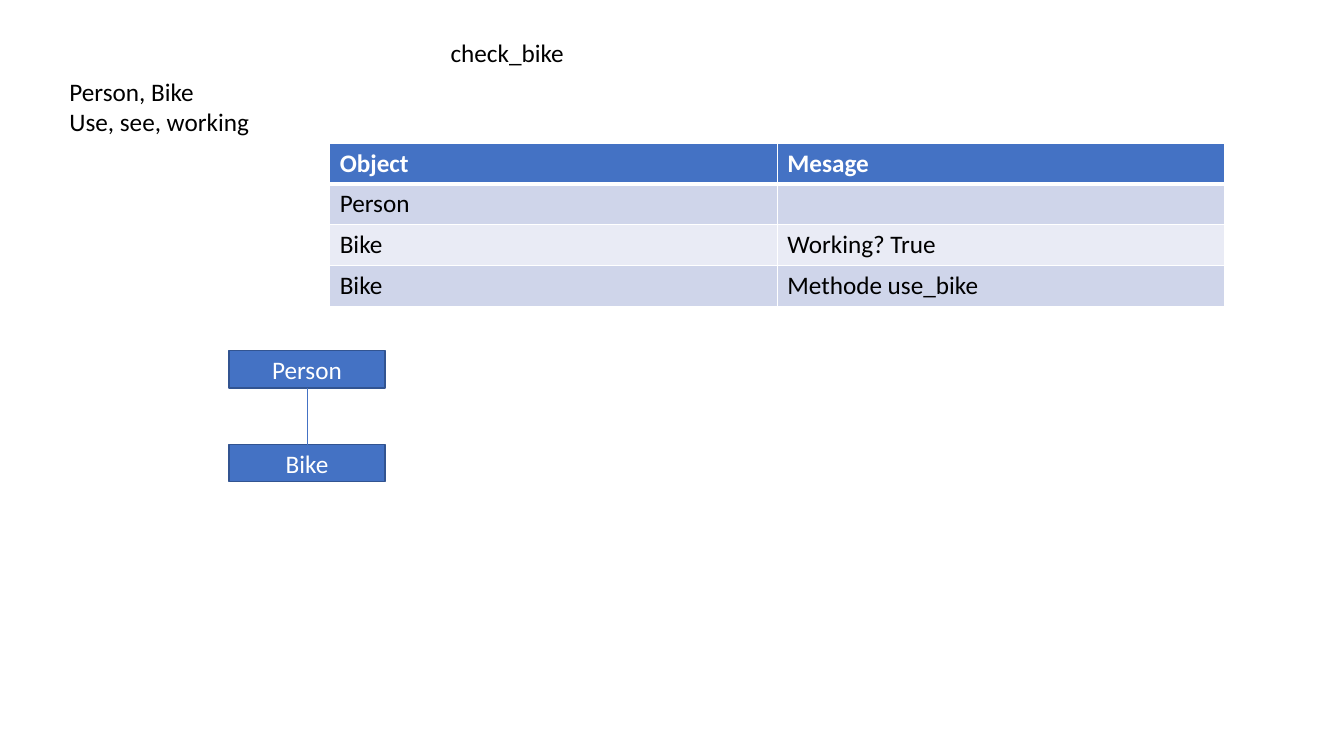
from dataclasses import dataclass

from lxml.etree import SubElement
from pptx import Presentation
from pptx.dml.color import RGBColor
from pptx.enum.shapes import MSO_CONNECTOR as Connector, MSO_SHAPE as Preset
from pptx.enum.text import MSO_ANCHOR as Anchor, MSO_AUTO_SIZE as AutoSize, PP_ALIGN as Align
from pptx.oxml.ns import qn
from pptx.shapes.autoshape import Shape
from pptx.slide import Slide
from pptx.table import _Cell as Cell
from pptx.text.text import TextFrame
from pptx.util import Inches, Pt

BLUE, DARK_BLUE = "4472C4", "325491"
BANDS = ("CFD5EA", "E9EBF5")
WHITE, BLACK = "FFFFFF", "000000"


@dataclass
class Block:
    text: str
    left: float
    top: float
    width: float
    height: float

    def bounds(self) -> list[Inches]:
        return [Inches(n) for n in (self.left, self.top, self.width, self.height)]


NOTES = [
    Block("Person, Bike\nUse, see, working", 0.59, 0.71, 6.67, 0.71),
    Block("check_bike", 4.37, 0.32, 4.52, 0.4),
]
CLASSES = [
    Block("Person", 2.27, 3.48, 1.55, 0.37),
    Block("Bike", 2.27, 4.41, 1.55, 0.37),
]
MESSAGES = [
    ("Object", "Mesage"),
    ("Person", ""),
    ("Bike", "Working? True"),
    ("Bike", "Methode use_bike"),
]


def color(value: str) -> RGBColor:
    return RGBColor.from_string(value)


def write(frame: TextFrame, text: str, ink: str, bold: bool = False) -> None:
    frame.text = text
    for para in frame.paragraphs:
        for span in para.runs:
            span.font.name = "Calibri"
            span.font.size = Pt(18)
            span.font.bold = bold
            span.font.color.rgb = color(ink)


def add_note(page: Slide, note: Block) -> None:
    frame = page.shapes.add_textbox(*note.bounds()).text_frame
    frame.word_wrap = True
    frame.auto_size = AutoSize.SHAPE_TO_FIT_TEXT
    write(frame, note.text, BLACK)


def add_class_box(page: Slide, block: Block) -> Shape:
    box = page.shapes.add_shape(Preset.RECTANGLE, *block.bounds())
    box.shadow.inherit = False
    box.fill.solid()
    box.fill.fore_color.rgb = color(BLUE)
    box.line.color.rgb = color(DARK_BLUE)
    box.line.width = Pt(1)
    write(box.text_frame, block.text, WHITE)
    box.text_frame.vertical_anchor = Anchor.MIDDLE
    box.text_frame.paragraphs[0].alignment = Align.CENTER
    return box


def link(page: Slide, upper: Shape, lower: Shape) -> None:
    line = page.shapes.add_connector(Connector.STRAIGHT, 0, 0, 0, 0)
    line.begin_connect(upper, 2)
    line.end_connect(lower, 0)
    line.line.color.rgb = color(BLUE)
    line.line.width = Pt(0.5)
    SubElement(line._element.spPr, qn("a:effectLst"))


def set_border(cell: Cell, side: str, points: float) -> None:
    border = SubElement(cell._tc.get_or_add_tcPr(), qn(f"a:ln{side}"), w=str(Pt(points)))
    SubElement(SubElement(border, qn("a:solidFill")), qn("a:srgbClr"), val=WHITE)


def add_message_table(page: Slide) -> None:
    bounds = [Inches(n) for n in (3.27, 1.42, 8.88, 1.62)]
    table = page.shapes.add_table(len(MESSAGES), 2, *bounds).table
    for r, texts in enumerate(MESSAGES):
        header = r == 0
        for c, text in enumerate(texts):
            cell = table.cell(r, c)
            write(cell.text_frame, text, WHITE if header else BLACK, header)
            for side in "LRTB":
                thick = (header and side == "B") or (r == 1 and side == "T")
                set_border(cell, side, 3 if thick else 1)
            cell.fill.solid()
            cell.fill.fore_color.rgb = color(BLUE if header else BANDS[(r - 1) % 2])


def main() -> None:
    deck = Presentation()
    deck.slide_width, deck.slide_height = Inches(13.33), Inches(7.5)
    page = deck.slides.add_slide(deck.slide_layouts[6])

    # Notes and message table
    for note in NOTES:
        add_note(page, note)
    add_message_table(page)

    # Class diagram
    person, bike = [add_class_box(page, block) for block in CLASSES]
    link(page, person, bike)

    deck.save("out.pptx")


if __name__ == "__main__":
    main()
